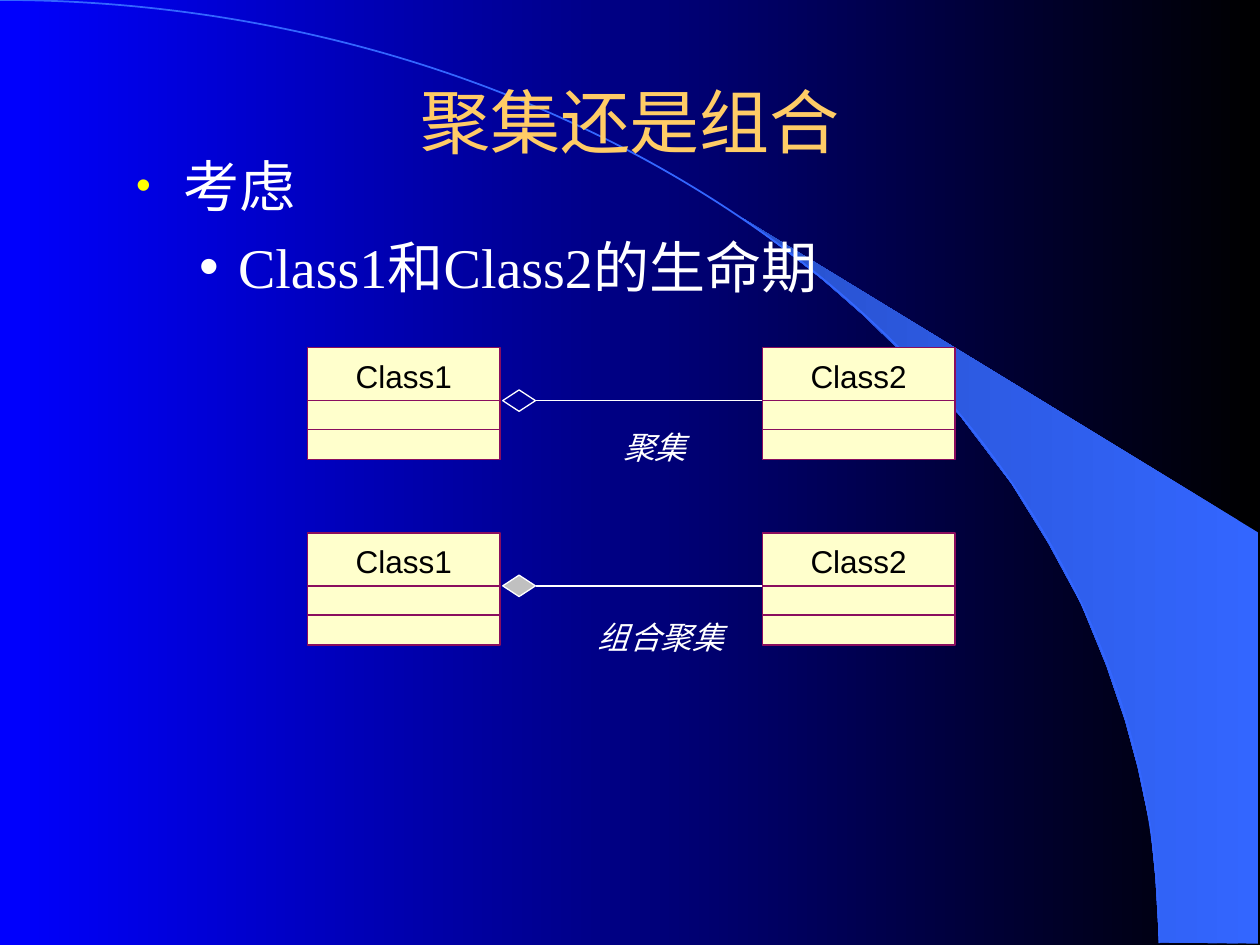
from lxml.etree import SubElement
from pptx import Presentation
from pptx.dml.color import RGBColor
from pptx.enum.shapes import MSO_CONNECTOR as Connector, MSO_SHAPE as Shape
from pptx.enum.text import MSO_ANCHOR as Anchor, MSO_AUTO_SIZE as AutoSize, PP_ALIGN as Align
from pptx.oxml.ns import qn
from pptx.util import Inches, Pt

COLORS = {
    "black": "000000", "blue": "0000FF", "arc": "3366FF", "arc_dark": "2851CC",
    "title": "FFCC66", "white": "FFFFFF", "bullet": "FFFF00",
    "class_fill": "FFFFCC", "class_line": "8A0E5E", "solid_diamond": "C0C0C0",
}
CRESCENT = [
    (9.2, 7.48), (9.99, 7.49), (9.99, 4.23), (5.89, 1.73), (6.24, 1.99), (6.53, 2.22),
    (6.85, 2.5), (7.16, 2.8), (7.62, 3.3), (8.03, 3.84), (8.32, 4.31), (8.58, 4.79),
    (8.78, 5.28), (8.93, 5.72), (9.03, 6.09), (9.13, 6.56), (9.17, 6.96),
]
CLASS_WIDTH, CLASS_HEIGHT = 1.53, 0.89
CLASS_LEFTS = {"Class1": 2.44, "Class2": 6.05}
DIVIDERS = (0.42, 0.65)
DIAMOND_WIDTH, DIAMOND_HEIGHT = 0.26, 0.17


def rgb(name):
    return RGBColor.from_string(COLORS[name])


def place(item, left, top, width, height):
    item.left, item.top = Inches(left), Inches(top)
    item.width, item.height = Inches(width), Inches(height)


def set_gradient(fill, first, last):
    fill.gradient()
    fill.gradient_angle = 180
    for stop, color in zip(fill.gradient_stops, (first, last)):
        stop.color.rgb = rgb(color)


def set_font(paragraph, name, size, color, italic=False):
    font = paragraph.font
    font.name, font.size, font.italic = name, Pt(size), italic
    font.color.rgb = rgb(color)


def set_line(item, color, width=0.75):
    item.line.color.rgb = rgb(color)
    item.line.width = Pt(width)


def set_bullet(paragraph, margin, indent, color, percent):
    properties = paragraph._p.get_or_add_pPr()
    properties.set("marL", str(Inches(margin)))
    properties.set("indent", str(Inches(indent)))
    SubElement(SubElement(properties, qn("a:buClr")), qn("a:srgbClr"), val=COLORS[color])
    SubElement(properties, qn("a:buSzPct"), val=str(percent * 1000))
    SubElement(properties, qn("a:buChar"), char="•")


def add_shape(shapes, kind, left, top, width, height, line, fill=None, line_width=0.75):
    shape = shapes.add_shape(kind, Inches(left), Inches(top), Inches(width), Inches(height))
    shape.shadow.inherit = False
    set_line(shape, line, line_width)
    if fill:
        shape.fill.solid()
        shape.fill.fore_color.rgb = rgb(fill)
    else:
        shape.fill.background()
    return shape


def add_line(shapes, left, right, y, color):
    line = shapes.add_connector(
        Connector.STRAIGHT, Inches(left), Inches(y), Inches(right), Inches(y))
    set_line(line, color)
    SubElement(line._element.spPr, qn("a:effectLst"))
    return line


def add_text(shapes, text, left, top, width, height, color, italic=False, wrap=True):
    box = shapes.add_textbox(Inches(left), Inches(top), Inches(width), Inches(height))
    frame = box.text_frame
    frame.word_wrap = wrap
    frame.auto_size = AutoSize.SHAPE_TO_FIT_TEXT
    frame.text = text
    paragraph = frame.paragraphs[0]
    paragraph.alignment = Align.CENTER
    set_font(paragraph, "Arial", 18, color, italic)
    return frame


def add_backdrop(page):
    set_gradient(page.background.fill, "black", "blue")
    points = [(Inches(x), Inches(y)) for x, y in CRESCENT]
    builder = page.shapes.build_freeform(*points[0])
    builder.add_line_segments(points[1:], close=True)
    crescent = builder.convert_to_shape()
    crescent.shadow.inherit = False
    set_gradient(crescent.fill, "arc", "arc_dark")
    crescent.line.fill.background()
    add_shape(page.shapes, Shape.ARC, -9.2, 0, 18.4, 14.97, "arc", line_width=1)


def fill_title(title, text):
    place(title, 0.75, 0.67, 8.5, 0.58)
    frame = title.text_frame
    frame.text = text
    frame.auto_size = AutoSize.NONE
    frame.vertical_anchor = Anchor.MIDDLE
    frame.paragraphs[0].alignment = Align.CENTER
    set_font(frame.paragraphs[0], "Arial", 40, "title")


def fill_body(body, heading, detail):
    place(body, 0.98, 1.15, 8.76, 4.58)
    frame = body.text_frame
    frame.text = f"{heading}\n{detail}"
    frame.auto_size = AutoSize.NONE
    first, second = frame.paragraphs
    second.level = 1
    first.space_before, second.space_before = Pt(0), Pt(8)
    set_bullet(first, 0.38, -0.38, "bullet", 75)
    set_bullet(second, 0.81, -0.31, "white", 100)
    for paragraph in (first, second):
        set_font(paragraph, "Times New Roman", 32, "white")


def add_class(page, name, left, top):
    shapes = page.shapes.add_group_shape().shapes
    add_shape(shapes, Shape.RECTANGLE, left, top, CLASS_WIDTH, CLASS_HEIGHT,
              "class_line", "class_fill")
    for offset in DIVIDERS:
        add_line(shapes, left, left + CLASS_WIDTH, top + offset, "class_line")
    width = 0.8
    frame = add_text(page.shapes, name, left + (CLASS_WIDTH - width) / 2, top + 0.07,
                     width, 0.3, "black", wrap=False)
    frame.margin_left = frame.margin_right = frame.margin_top = frame.margin_bottom = 0


def add_relation(page, top, label, label_top, label_width, diamond_fill=None):
    y = top + DIVIDERS[0]
    left = 3.99
    line = add_line(page.shapes, left + DIAMOND_WIDTH, 6.08, y, "white")
    diamond = add_shape(page.shapes, Shape.DIAMOND, left, y - DIAMOND_HEIGHT / 2,
                        DIAMOND_WIDTH, DIAMOND_HEIGHT, "white", diamond_fill)
    line.begin_connect(diamond, 3)
    for name, class_left in CLASS_LEFTS.items():
        add_class(page, name, class_left, top)
    add_text(page.shapes, label, 4.25, label_top, label_width, 0.4, "white", italic=True)


def main():
    deck = Presentation()
    deck.slide_width, deck.slide_height = Inches(10), Inches(7.5)
    page = deck.slides.add_slide(deck.slide_layouts[1])
    title, body = page.placeholders
    add_backdrop(page)
    for placeholder in (title, body):
        page.shapes._spTree.append(placeholder._element)
    fill_title(title, "聚集还是组合")
    fill_body(body, "考虑", "Class1和Class2的生命期")
    add_relation(page, 2.76, "聚集", 3.35, 1.89)
    add_relation(page, 4.23, "组合聚集", 4.86, 1.99, "solid_diamond")
    deck.save("out.pptx")


if __name__ == "__main__":
    main()
